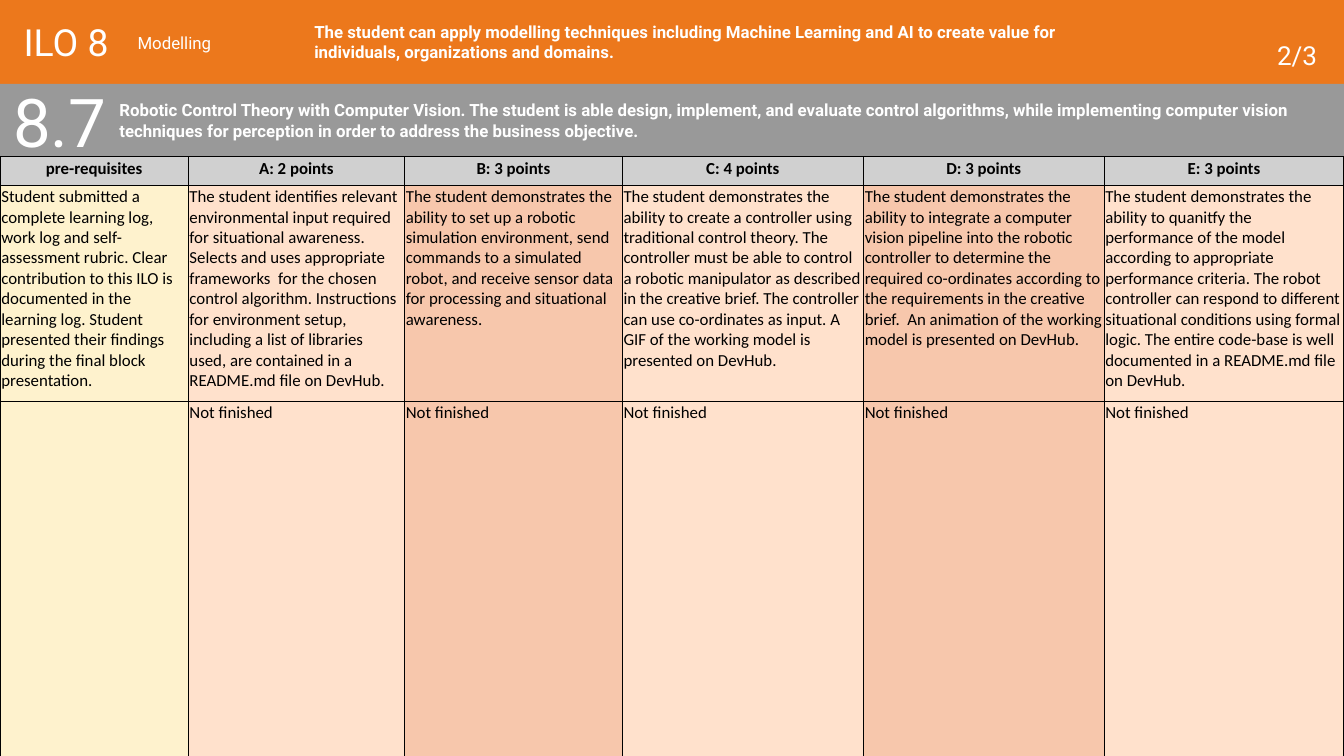
from lxml import etree
from pptx import Presentation
from pptx.dml.color import RGBColor
from pptx.enum.shapes import MSO_SHAPE
from pptx.enum.text import MSO_ANCHOR, MSO_AUTO_SIZE, PP_ALIGN
from pptx.oxml.ns import qn
from pptx.util import Emu, Pt

RECTANGLE = MSO_SHAPE.RECTANGLE
TOP, MIDDLE, BOTTOM = MSO_ANCHOR.TOP, MSO_ANCHOR.MIDDLE, MSO_ANCHOR.BOTTOM
LEFT, CENTER, RIGHT = PP_ALIGN.LEFT, PP_ALIGN.CENTER, PP_ALIGN.RIGHT
FIXED = MSO_AUTO_SIZE.NONE

BACKDROP = RGBColor(0x66, 0x66, 0x66)
ORANGE = RGBColor(0xEC, 0x78, 0x1C)
GRAY = RGBColor(0x99, 0x99, 0x99)
HEADING = RGBColor(0xD0, 0xD0, 0xD0)
YELLOW = RGBColor(0xFE, 0xF2, 0xCD)
PEACH = RGBColor(0xFF, 0xE1, 0xCC)
SALMON = RGBColor(0xF7, 0xC7, 0xAC)
WHITE = RGBColor(0xFF, 0xFF, 0xFF)
BLACK = RGBColor(0, 0, 0)

PAGE_WIDTH, PAGE_HEIGHT = 2000, 1125
OUTCOME_HEIGHT, CRITERION_HEIGHT = 125, 108
COLUMN_WIDTHS = [280, 322, 324, 359, 358, 357]
ROW_HEIGHTS = [43, 321, 534]
COLUMN_FILLS = [YELLOW, PEACH, SALMON, PEACH, SALMON, PEACH]
RUBRIC = [
    ["pre-requisites", "A: 2 points", "B: 3 points", "C: 4 points", "D: 3 points", "E: 3 points"],
    [
        "Student submitted a complete learning log, work log and self-assessment rubric. "
        "Clear contribution to this ILO is documented in the learning log. "
        "Student presented their findings during the final block presentation.",
        "The student identifies relevant environmental input required for situational awareness. "
        "Selects and uses appropriate frameworks  for the chosen control algorithm. "
        "Instructions for environment setup, including a list of libraries used, "
        "are contained in a README.md file on DevHub.",
        "The student demonstrates the ability to set up a robotic simulation environment, "
        "send commands to a simulated robot, and receive sensor data for processing "
        "and situational awareness.",
        "The student demonstrates the ability to create a controller using traditional control theory. "
        "The controller must be able to control a robotic manipulator as described in the creative brief. "
        "The controller can use co-ordinates as input. "
        "A GIF of the working model is presented on DevHub.",
        "The student demonstrates the ability to integrate a computer vision pipeline into the robotic "
        "controller to determine the required co-ordinates according to the requirements in the "
        "creative brief.  An animation of the working model is presented on DevHub.",
        "The student demonstrates the ability to quanitfy the performance of the model according to "
        "appropriate performance criteria. The robot controller can respond to different situational "
        "conditions using formal logic. "
        "The entire code-base is well documented in a README.md file on DevHub.",
    ],
    [""] + ["Not finished"] * 5,
]


def px(length):
    return Emu(length * 4572)


def style_text(para, font, size, color, bold=False, align=LEFT):
    para.alignment = align
    para.font.name = font
    para.font.size = Pt(size)
    para.font.bold = bold
    para.font.color.rgb = color


def fill_label(box, text, size, bold=False, align=LEFT, anchor=MIDDLE):
    frame = box.text_frame
    frame.auto_size = FIXED
    frame.word_wrap = True
    frame.vertical_anchor = anchor
    frame.margin_left = frame.margin_right = frame.margin_top = frame.margin_bottom = px(20)
    frame.text = text
    style_text(frame.paragraphs[0], "Roboto", size, WHITE, bold, align)


def add_label(page, left, top, width, height, text, size, **style):
    box = page.shapes.add_textbox(px(left), px(top), px(width), px(height))
    fill_label(box, text, size, **style)


def add_band(page, left, top, width, height, color):
    band = page.shapes.add_shape(RECTANGLE, px(left), px(top), px(width), px(height))
    band.shadow.inherit = False
    band.fill.solid()
    band.fill.fore_color.rgb = color
    band.line.fill.background()
    return band


def add_outcome_header(page, left, top, width, height):
    band = add_band(page, left, top, width, height, ORANGE)
    title = page.shapes.title
    title.element.addprevious(band.element)
    title.left, title.top, title.width, title.height = px(left + 15), px(top), px(170), px(height)
    fill_label(title, "ILO 8", 20)
    add_label(page, left + 1546, top, 434, height, "2/3", 14, align=RIGHT, anchor=BOTTOM)
    add_label(page, left + 448, top, 1254, height,
              "The student can apply modelling techniques including Machine Learning and AI "
              "to create value for individuals, organizations and domains.", 9, bold=True)
    add_label(page, left + 185, top + 1, 300, height, "Modelling", 9)


def add_criterion_header(page, left, top, width, height):
    add_band(page, left, top, width, height, GRAY)
    add_label(page, left, top, 198, height, "8.7", 36)
    add_label(page, left + 158, top, 1860, height,
              "Robotic Control Theory with Computer Vision. The student is able design, implement, "
              "and evaluate control algorithms, while implementing computer vision techniques for "
              "perception in order to address the business objective.", 9, bold=True)


def add_borders(cell):
    properties = cell._tc.get_or_add_tcPr()
    for side in ("a:lnL", "a:lnR", "a:lnT", "a:lnB"):
        line = etree.SubElement(properties, qn(side), w=str(Pt(0.5)))
        fill = etree.SubElement(line, qn("a:solidFill"))
        etree.SubElement(fill, qn("a:srgbClr"), val=str(BLACK))


def format_cell(cell, text, color, heading):
    add_borders(cell)
    cell.fill.solid()
    cell.fill.fore_color.rgb = color
    cell.margin_left = cell.margin_right = cell.margin_top = px(2)
    cell.margin_bottom = px(10)
    cell.vertical_anchor = MIDDLE if heading else TOP
    cell.text = text
    style_text(cell.text_frame.paragraphs[0], "Calibri", 9, BLACK, heading,
               CENTER if heading else LEFT)


def add_rubric(page, left, top, width, height):
    table = page.shapes.add_table(len(RUBRIC), len(COLUMN_WIDTHS),
                                  px(left), px(top), px(width), px(height)).table
    table.first_row = False
    table.horz_banding = False
    for column, column_width in zip(table.columns, COLUMN_WIDTHS):
        column.width = px(column_width)
    for row, row_height in zip(table.rows, ROW_HEIGHTS):
        row.height = px(row_height)
    for row_index, texts in enumerate(RUBRIC):
        heading = row_index == 0
        for column_index, text in enumerate(texts):
            color = HEADING if heading else COLUMN_FILLS[column_index]
            format_cell(table.cell(row_index, column_index), text, color, heading)


def main():
    deck = Presentation()
    deck.slide_width, deck.slide_height = px(PAGE_WIDTH), px(PAGE_HEIGHT)
    page = deck.slides.add_slide(deck.slide_layouts[5])
    page.background.fill.solid()
    page.background.fill.fore_color.rgb = BACKDROP
    add_outcome_header(page, 0, 0, PAGE_WIDTH, OUTCOME_HEIGHT)
    add_criterion_header(page, 0, OUTCOME_HEIGHT, PAGE_WIDTH, CRITERION_HEIGHT)
    add_rubric(page, 0, OUTCOME_HEIGHT + CRITERION_HEIGHT, sum(COLUMN_WIDTHS), sum(ROW_HEIGHTS))
    deck.save("out.pptx")


if __name__ == "__main__":
    main()
